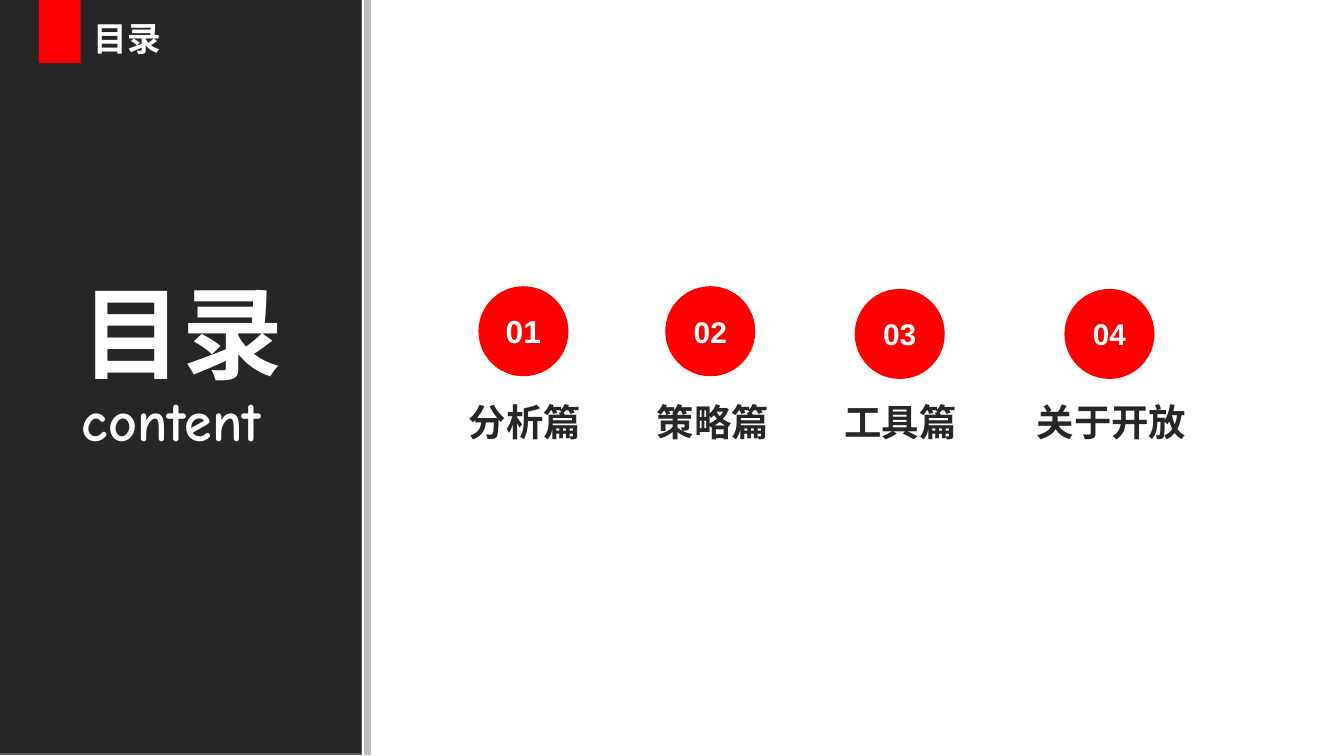
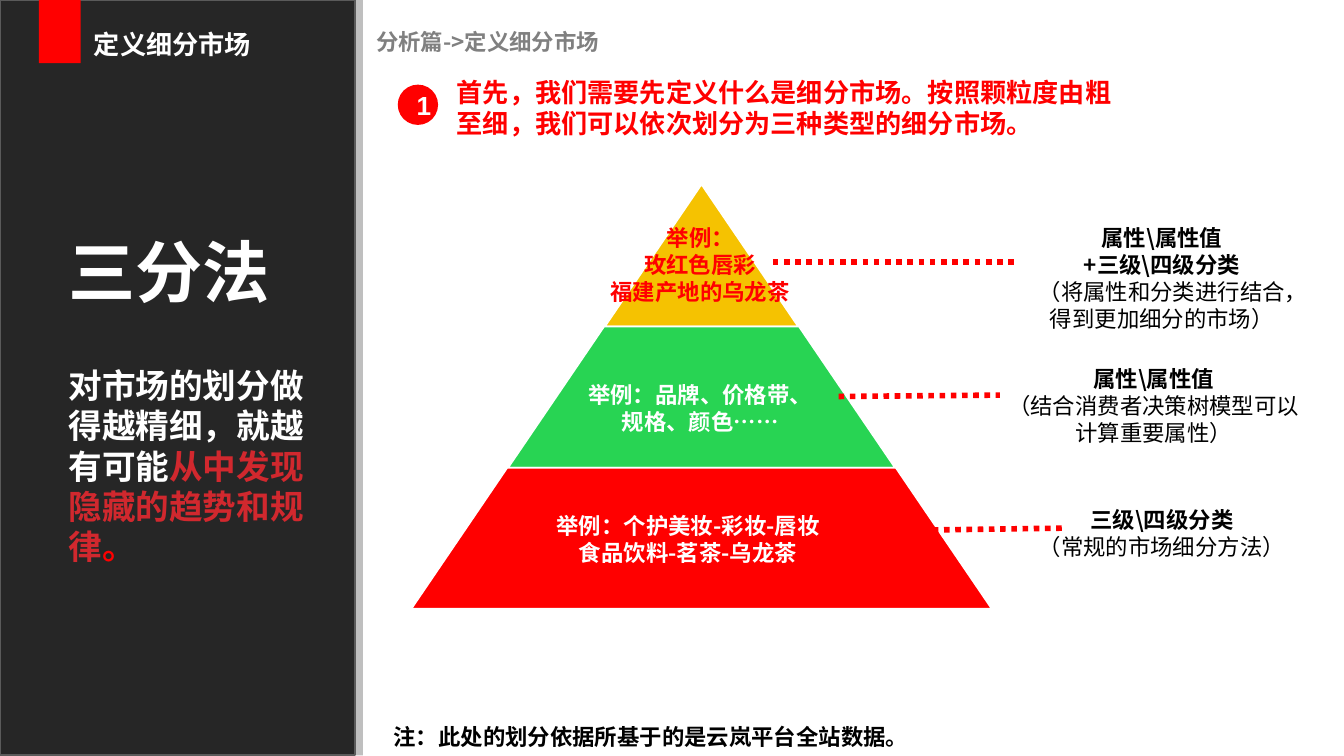
from pptx import Presentation
from pptx.dml.color import RGBColor
from pptx.enum.dml import MSO_LINE
from pptx.enum.shapes import MSO_CONNECTOR, MSO_SHAPE
from pptx.enum.text import MSO_ANCHOR, PP_ALIGN
from pptx.oxml.ns import qn
from pptx.util import Pt

PX = 9144  # one px is 1/100 inch
WIDTH, HEIGHT = 1000, 562
COLORS = {
    "white": "FFFFFF", "black": "000000", "dark": "262626", "edge": "5A5A5A",
    "divider": "BFBFBF", "crumb": "808080", "red": "FF0000", "accent": "D1282E",
    "gold": "F5C201", "green": "28D453",
}
HAN, LATIN, HAND = "Noto Sans CJK SC", "Arial", "Comic Neue"
TIGHT = (7, 4, 7, 4)
ROOMY = (10, 5, 10, 5)


def px(*lengths):
    return [length * PX for length in lengths]


def color(name):
    return RGBColor.from_string(COLORS[name])


def write(frame, paras, size=12, fill="black", bold=True, font=HAN, leading=1.2,
          align=PP_ALIGN.LEFT, anchor=MSO_ANCHOR.TOP, inset=ROOMY):
    """Fill a frame; a para is a text or a dict with spans and its own format."""
    frame.word_wrap = True
    frame.vertical_anchor = anchor
    (frame.margin_left, frame.margin_top,
     frame.margin_right, frame.margin_bottom) = px(*inset)
    for index, item in enumerate(paras):
        item = {"spans": [(item, fill)]} if isinstance(item, str) else item
        para = frame.paragraphs[0] if index == 0 else frame.add_paragraph()
        para.alignment = align
        para.line_spacing = Pt(round(item.get("size", size) * leading, 1))
        para.space_before = Pt(item.get("before", 0))
        for text, span_fill in item["spans"]:
            span = para.add_run()
            span.text = text
            span.font.size = Pt(item.get("size", size))
            span.font.bold = item.get("bold", bold)
            span.font.color.rgb = color(span_fill)
            span.font.name = item.get("font", font)
            east = span.font._element.makeelement(qn("a:ea"), {"typeface": HAN})
            span.font._element.find(qn("a:latin")).addnext(east)


class Page:
    def __init__(self, deck):
        self.slide = deck.slides.add_slide(deck.slide_layouts[6])

    def shape(self, kind, x, y, w, h, fill, line=None):
        shape = self.slide.shapes.add_shape(kind, *px(x, y, w, h))
        shape.shadow.inherit = False
        shape.fill.solid()
        shape.fill.fore_color.rgb = color(fill)
        if line:
            shape.line.color.rgb = color(line)
            shape.line.width = Pt(1)
        else:
            shape.line.fill.background()
        return shape

    def text(self, x, y, w, h, *paras, **style):
        box = self.slide.shapes.add_textbox(*px(x, y, w, h))
        write(box.text_frame, paras, **style)

    def badge(self, x, y, d, text, size, inset=(0, 0, 0, 0)):
        circle = self.shape(MSO_SHAPE.OVAL, x, y, d, d, "red")
        write(circle.text_frame, [text], size=size, fill="white", font=LATIN,
              align=PP_ALIGN.CENTER, anchor=MSO_ANCHOR.MIDDLE, inset=inset)

    def dots(self, x1, y1, x2, y2):
        line = self.slide.shapes.add_connector(
            MSO_CONNECTOR.STRAIGHT, *px(x1, y1, x2, y2))
        line.line.color.rgb = color("red")
        line.line.width = Pt(3)
        line.line.dash_style = MSO_LINE.ROUND_DOT
        properties = line._element.spPr
        properties.append(properties.makeelement(qn("a:effectLst"), {}))

    def sidebar(self, start, width, header, y, w, h, size):
        """Dark panel from start in both directions, divider, tab and header."""
        self.shape(MSO_SHAPE.RECTANGLE, start, start, width, HEIGHT, "dark", "edge")
        self.shape(MSO_SHAPE.RECTANGLE, width + 1, 0, 5, HEIGHT, "divider")
        self.shape(MSO_SHAPE.RECTANGLE, 29, 0, 31, 47, "red")
        self.text(60, y, w, h, header, size=size, fill="white",
                  anchor=MSO_ANCHOR.MIDDLE)


def contents(deck):
    page = Page(deck)
    page.sidebar(-1, 270, "目录", 8, 159, 40, 18)
    page.text(54, 254, 174, 38, "目录",
              {"spans": [("content", "white")], "size": 30, "font": HAND},
              size=54, fill="white", leading=1.1, anchor=MSO_ANCHOR.MIDDLE,
              inset=TIGHT)

    # Chapters: badge left and top, number size, label left and width
    chapters = [
        ("分析篇", 356, 213, 17, 329, 123),
        ("策略篇", 495, 213, 16, 469, 123),
        ("工具篇", 636, 215, 16, 609, 122),
        ("关于开放", 792, 215, 16, 761, 132),
    ]
    for number, (name, x, y, size, left, width) in enumerate(chapters, 1):
        page.badge(x, y, 67, f"{number:02}", size)
        page.text(left, 293, width, 41, name, size=20, fill="dark",
                  align=PP_ALIGN.CENTER, anchor=MSO_ANCHOR.MIDDLE, inset=TIGHT)


def segments(deck):
    page = Page(deck)
    page.sidebar(0, 264, "定义细分市场", 16, 172, 34, 14)
    page.text(44, 138, 205, 317,
              {"spans": [("三分法", "white")], "size": 36},
              {"spans": [("对市场的划分做得越精细，就越有可能", "white"),
                         ("从中发现隐藏的趋势和规律", "accent"), ("。", "red")],
               "before": 29},
              size=18, anchor=MSO_ANCHOR.MIDDLE, inset=TIGHT)

    # Heading
    page.text(270, 16, 488, 30, "分析篇->定义细分市场", fill="crumb")
    page.badge(296, 63, 30, "1", 14, inset=(9, 0, 0, 0))
    page.text(330, 52, 516, 57,
              "首先，我们需要先定义什么是细分市场。按照颗粒度由粗至细，"
              "我们可以依次划分为三种类型的细分市场。", size=14, fill="red")

    # Pyramid: each tier is one step wider, with an example, a link and a note
    tiers = [
        ("gold", "red", (417, 162, 208, 71),
         ["举例：", "玫红色唇彩", "福建产地的乌龙茶"],
         (575, 195, 755, 195), (760, 162, 209, 91),
         [r"属性\属性值", r"+三级\四级分类"],
         "（将属性和分类进行结合，得到更加细分的市场）"),
        ("green", "white", (354, 279, 334, 50),
         ["举例：品牌、价格带、", "规格、颜色……"],
         (624, 295, 744, 294), (735, 267, 247, 71),
         [r"属性\属性值"], "（结合消费者决策树模型可以计算重要属性）"),
        ("red", "white", (345, 376, 334, 50),
         ["举例：个护美妆-彩妆-唇妆", "食品饮料-茗茶-乌龙茶"],
         (644, 395, 790, 393), (747, 372, 235, 50),
         [r"三级\四级分类"], "（常规的市场细分方法）"),
    ]
    center, step, height = 522, 72, 105
    for row, (fill, ink, place, example, link, side, heads, note) in enumerate(tiers):
        half = step * (row + 1)
        tier = page.shape(MSO_SHAPE.TRAPEZOID, center - half, 138 + row * height,
                          2 * half, height, fill, "white")
        tier.adjustments[0] = 0.68
        page.text(*place, *example, fill=ink, align=PP_ALIGN.CENTER)
        page.dots(*link)
        page.text(*side, *heads, {"spans": [(note, "black")], "bold": False},
                  align=PP_ALIGN.CENTER)

    page.text(283, 533, 488, 30, "注：此处的划分依据所基于的是云岚平台全站数据。")


def main():
    deck = Presentation()
    deck.slide_width = WIDTH * PX
    deck.slide_height = deck.slide_width * 9 // 16
    contents(deck)
    segments(deck)
    deck.save("out.pptx")


if __name__ == "__main__":
    main()
